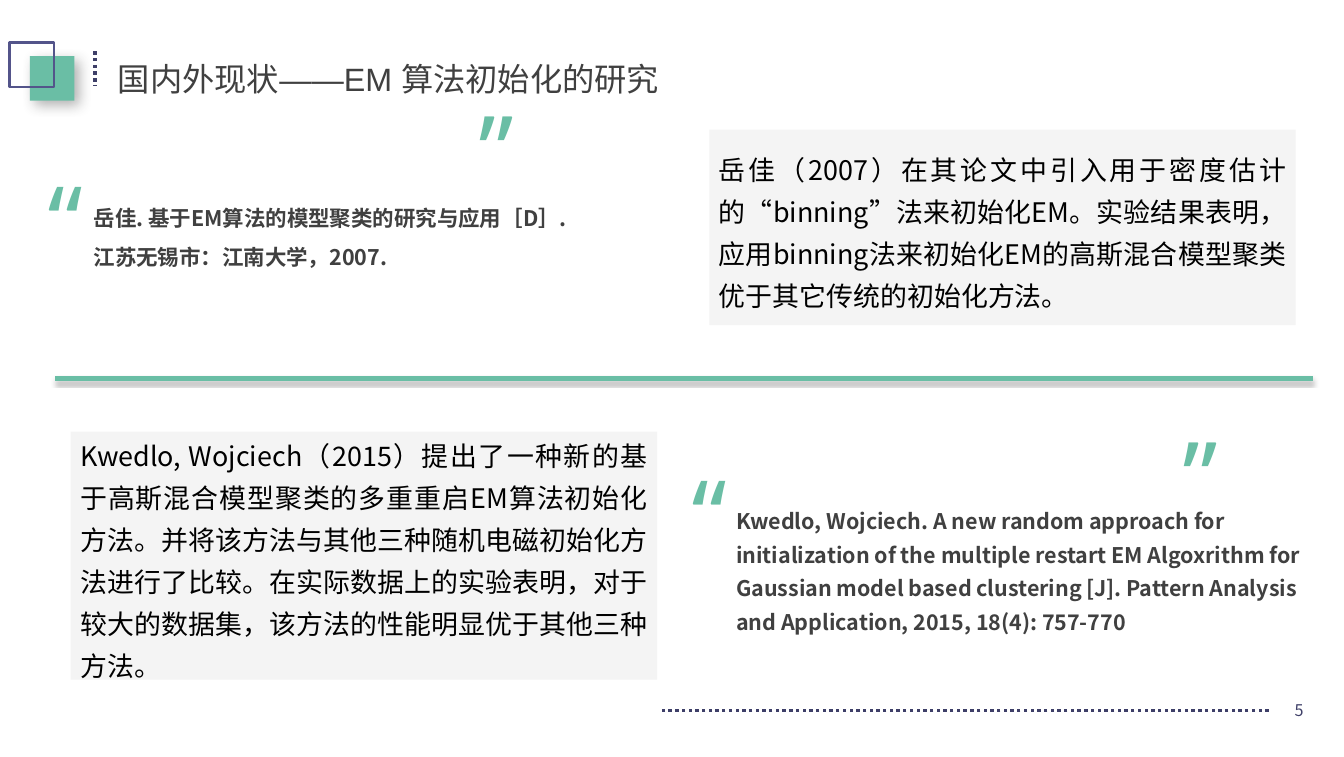
from dataclasses import dataclass

from lxml.etree import SubElement
from pptx import Presentation
from pptx.dml.color import RGBColor
from pptx.enum.dml import MSO_LINE
from pptx.enum.shapes import MSO_CONNECTOR, MSO_SHAPE
from pptx.enum.text import MSO_ANCHOR, MSO_AUTO_SIZE, PP_ALIGN
from pptx.oxml.ns import qn
from pptx.util import Pt


@dataclass(frozen=True)
class Theme:
    green: str = "6ABEA5"
    purple: str = "53548A"
    navy: str = "3E3F68"
    grey: str = "DEDEDE"
    dark: str = "404040"
    black: str = "000000"
    title_font: str = "Arial"
    body_font: str = "Noto Sans CJK SC"
    quote_font: str = "Noto Sans Mono"
    title_size: int = 24
    body_size: int = 20
    reference_size: int = 16
    number_size: int = 12
    quote_size: int = 72


def write_text(text_frame, text, *, size, font, color, bold=False, align=PP_ALIGN.LEFT,
               spacing=1.0, anchor=MSO_ANCHOR.TOP, margins=(7.2, 3.6)):
    text_frame.word_wrap = True
    text_frame.auto_size = MSO_AUTO_SIZE.NONE
    text_frame.vertical_anchor = anchor
    text_frame.margin_left = text_frame.margin_right = Pt(margins[0])
    text_frame.margin_top = text_frame.margin_bottom = Pt(margins[1])
    text_frame.text = text
    for paragraph in text_frame.paragraphs:
        paragraph.alignment = align
        paragraph.line_spacing = spacing
        for run in paragraph.runs:
            run.font.size = Pt(size)
            run.font.bold = bold
            run.font.name = font
            run.font.color.rgb = RGBColor.from_string(color)
            SubElement(run._r.get_or_add_rPr(), qn("a:ea"), typeface=font)


def set_shadow(shape, color, alpha, blur, distance, angle):
    properties = shape._element.spPr
    for old_effects in properties.findall(qn("a:effectLst")):
        properties.remove(old_effects)
    effects = SubElement(properties, qn("a:effectLst"))
    shadow = SubElement(effects, qn("a:outerShdw"), blurRad=str(Pt(blur)),
                        dist=str(Pt(distance)), dir=str(angle * 60000),
                        algn="ctr", rotWithShape="0")
    shade = SubElement(shadow, qn("a:srgbClr"), val=color)
    SubElement(shade, qn("a:alpha"), val=str(alpha * 1000))


class SlideBuilder:
    def __init__(self, slide, theme):
        self.slide = slide
        self.theme = theme

    def title(self, text, left, top, width, height):
        shape = self.slide.shapes.title
        shape.left, shape.top, shape.width, shape.height = map(Pt, (left, top, width, height))
        write_text(shape.text_frame, text, size=self.theme.title_size,
                   font=self.theme.title_font, color=self.theme.dark)

    def rectangle(self, left, top, width, height, *, fill=None, alpha=100, line=None):
        shape = self.slide.shapes.add_shape(
            MSO_SHAPE.RECTANGLE, *map(Pt, (left, top, width, height)))
        shape.shadow.inherit = False
        if fill:
            shape.fill.solid()
            shape.fill.fore_color.rgb = RGBColor.from_string(fill)
            if alpha < 100:
                color = shape._element.spPr.find(qn("a:solidFill"))[0]
                SubElement(color, qn("a:alpha"), val=str(alpha * 1000))
        else:
            shape.fill.background()
        if line:
            shape.line.color.rgb = RGBColor.from_string(line)
            shape.line.width = Pt(2)
        else:
            shape.line.fill.background()
        return shape

    def line(self, start, end, *, color, width, dash=None):
        connector = self.slide.shapes.add_connector(
            MSO_CONNECTOR.STRAIGHT, *map(Pt, (*start, *end)))
        connector.line.color.rgb = RGBColor.from_string(color)
        connector.line.width = Pt(width)
        if dash:
            connector.line.dash_style = dash
        SubElement(connector._element.spPr, qn("a:effectLst"))
        return connector

    def text_box(self, text, left, top, width, height, **text_format):
        shape = self.slide.shapes.add_textbox(*map(Pt, (left, top, width, height)))
        write_text(shape.text_frame, text, **text_format)
        return shape

    def panel(self, text, left, top, width, height):
        shape = self.rectangle(left, top, width, height, fill=self.theme.grey, alpha=33)
        write_text(shape.text_frame, text, size=self.theme.body_size,
                   font=self.theme.body_font, color=self.theme.black,
                   align=PP_ALIGN.JUSTIFY, spacing=1.3, anchor=MSO_ANCHOR.MIDDLE)

    def quote_pair(self, opening, closing, width, height):
        for (left, top), rotation in ((opening, 0), (closing, 180)):
            mark = self.text_box("“", left, top, width, height, spacing=1.5,
                                 size=self.theme.quote_size, font=self.theme.quote_font,
                                 color=self.theme.green)
            mark.rotation = rotation

    def reference(self, text, left, top, width, height, *, align, spacing):
        self.text_box(text, left, top, width, height, align=align, spacing=spacing,
                      size=self.theme.reference_size, font=self.theme.body_font,
                      color=self.theme.dark, bold=True)


def main():
    presentation = Presentation()
    presentation.slide_width = Pt(1000)
    presentation.slide_height = Pt(563)
    theme = Theme()
    slide = presentation.slides.add_slide(presentation.slide_layouts[5])
    builder = SlideBuilder(slide, theme)

    green_square = builder.rectangle(22.3, 41.8, 33.1, 33.1, fill=theme.green)
    set_shadow(green_square, theme.dark, 40, 10, 5, 45)
    builder.rectangle(7.2, 31.7, 33.1, 33.1, line=theme.purple)
    for start, end in (((70.8, 38.2), (70.8, 63.4)), ((943.9, 528.5), (490.3, 528.5))):
        builder.line(start, end, color=theme.navy, width=2.5, dash=MSO_LINE.ROUND_DOT)
    builder.text_box("5", 952.6, 514.1, 28.1, 28.1, size=theme.number_size,
                     font=theme.body_font, color=theme.navy, align=PP_ALIGN.CENTER,
                     anchor=MSO_ANCHOR.MIDDLE, margins=(0, 0))
    builder.title("国内外现状——EM 算法初始化的研究", 80.6, 40.3, 425.5, 65.5)

    builder.panel("岳佳（2007）在其论文中引入用于密度估计的“binning”法来初始化EM。"
                  "实验结果表明，应用binning法来初始化EM的高斯混合模型聚类"
                  "优于其它传统的初始化方法。", 527.8, 96.5, 436.3, 145.4)
    builder.quote_pair((20.2, 72), (334.1, 64.6), 64.1, 107.3)
    builder.reference("岳佳. 基于EM算法的模型聚类的研究与应用［D］.\n"
                      "江苏无锡市：江南大学，2007.", 62.6, 139.7, 447.1, 61.9,
                      align=PP_ALIGN.JUSTIFY, spacing=1.5)

    builder.panel("Kwedlo, Wojciech（2015）提出了一种新的基于高斯混合模型聚类的"
                  "多重重启EM算法初始化方法。并将该方法与其他三种随机电磁初始化方法"
                  "进行了比较。在实际数据上的实验表明，对于较大的数据集，"
                  "该方法的性能明显优于其他三种方法。", 52.6, 321.1, 436.3, 184.3)
    builder.quote_pair((499, 290.9), (859, 290.9), 62.6, 123.1)
    builder.reference("Kwedlo, Wojciech. A new random approach for initialization of the "
                      "multiple restart EM Algoxrithm for Gaussian model based clustering "
                      "[J]. Pattern Analysis and Application, 2015, 18(4): 757-770",
                      540.7, 368.6, 436.3, 105.8, align=PP_ALIGN.LEFT, spacing=1.3)

    divider = builder.line((41, 281.5), (977, 281.5), color=theme.green, width=3)
    set_shadow(divider, theme.black, 35, 3.1, 1.8, 90)
    presentation.save("out.pptx")


if __name__ == "__main__":
    main()
